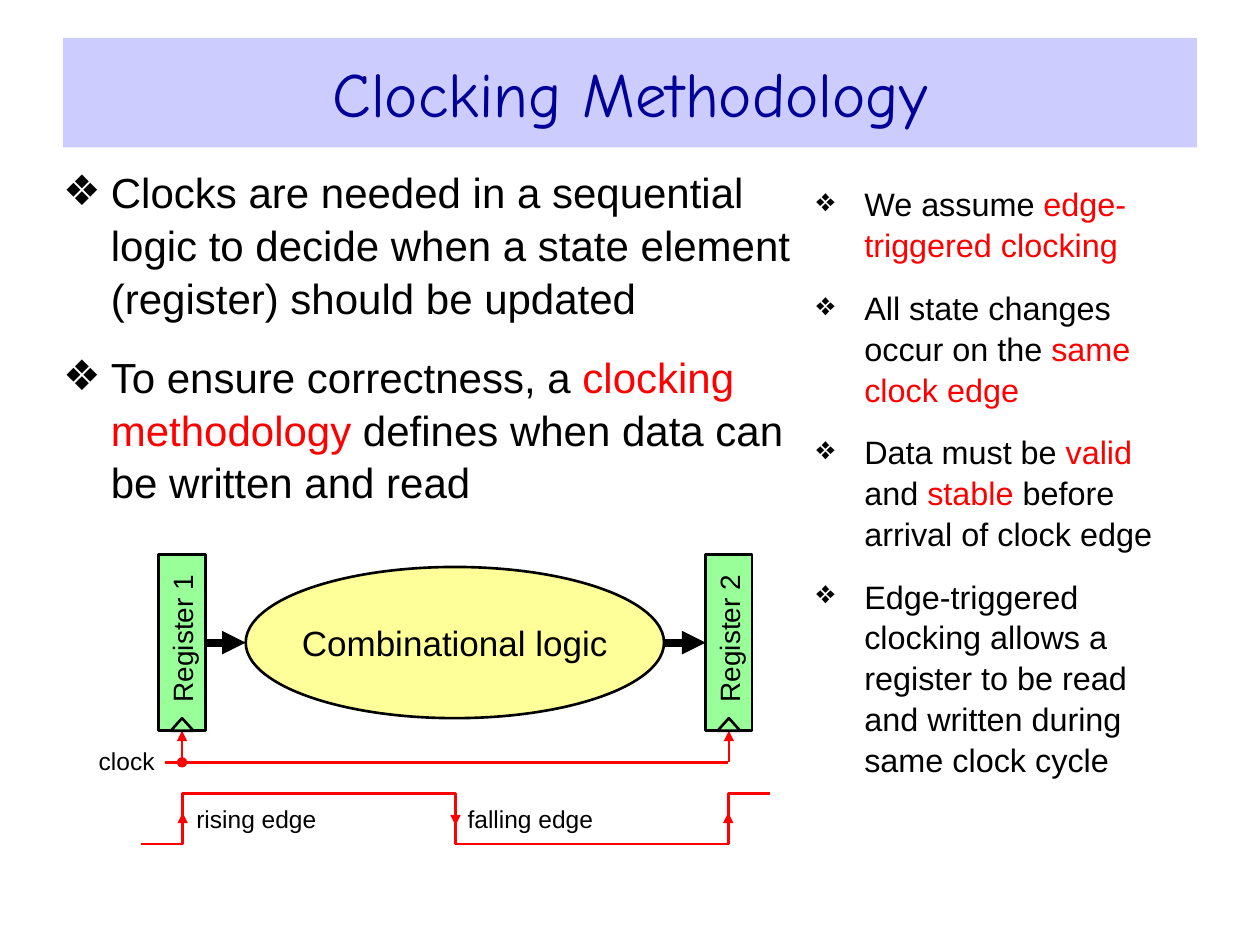
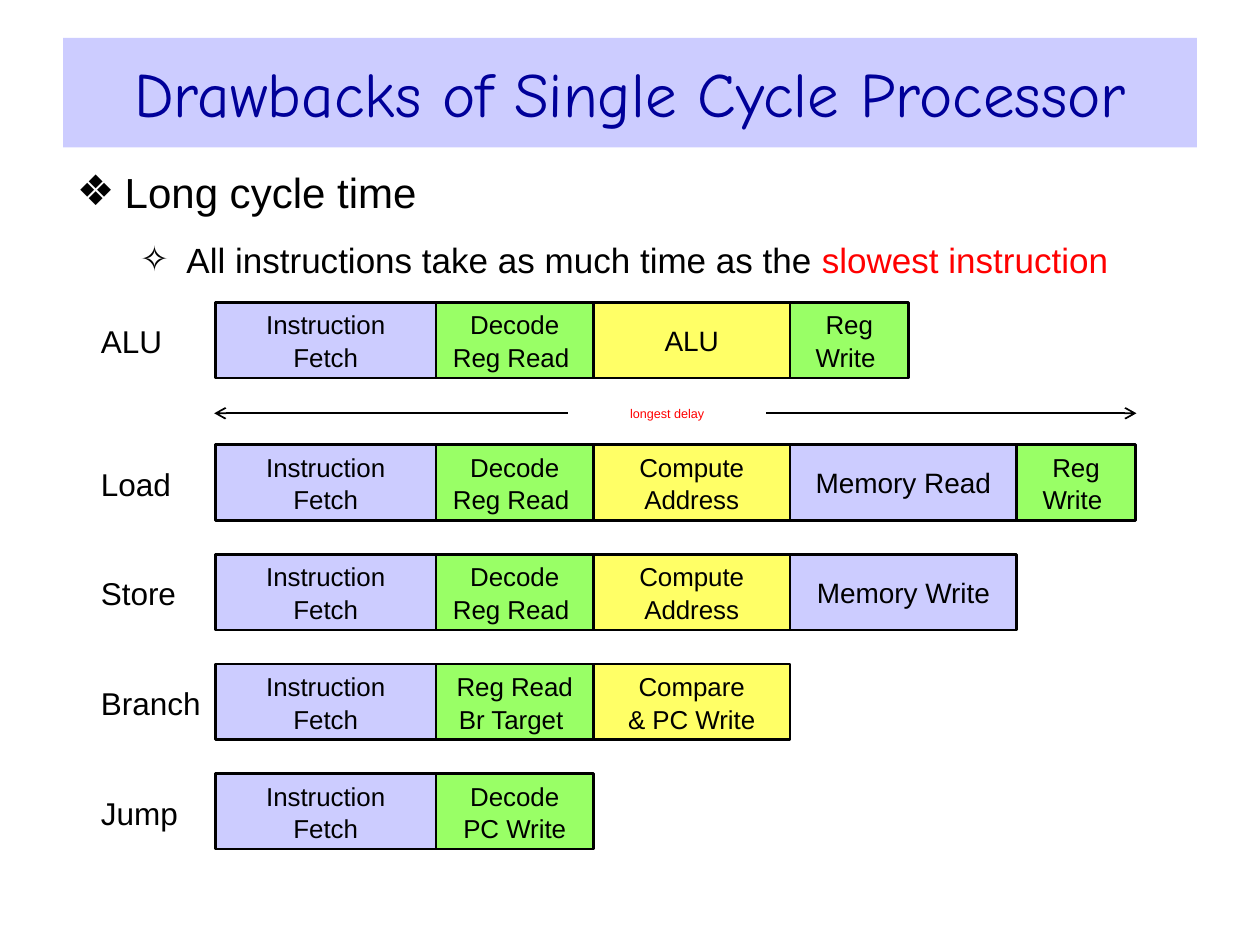
from dataclasses import dataclass

from lxml.etree import SubElement
from pptx import Presentation
from pptx.dml.color import RGBColor
from pptx.enum.shapes import MSO_CONNECTOR, MSO_SHAPE
from pptx.enum.text import MSO_ANCHOR, MSO_AUTO_SIZE, PP_ALIGN
from pptx.oxml.ns import qn
from pptx.util import Inches, Pt


@dataclass(frozen=True)
class Theme:
    """Colours, fonts and type sizes shared by the slides."""
    ink: str = "000000"
    accent: str = "FF0000"
    title_ink: str = "000099"
    paper: str = "FFFFFF"
    lavender: str = "CCCCFF"
    green: str = "99FF66"
    yellow: str = "FFFF66"
    register: str = "99FF99"
    logic: str = "FFFF99"
    title_font: str = "Comic Neue"
    text_font: str = "Arial"
    title_size: float = 36
    body_size: float = 24
    sub_size: float = 20
    side_size: float = 18.5
    row_size: float = 18
    single_size: float = 16
    double_size: float = 14.8
    signal_size: float = 14
    delay_size: float = 7.2
    outline: float = 1.5


THEME = Theme()

CLOCK_POINTS = [
    [("Clocks are needed in a sequential logic to decide when a state element "
      "(register) should be updated", False)],
    [("To ensure correctness, a ", False), ("clocking methodology", True),
     (" defines when data can be written and read", False)],
]
EDGE_POINTS = [
    [("We assume ", False), ("edge-triggered clocking", True)],
    [("All state changes occur on the ", False), ("same clock edge", True)],
    [("Data must be ", False), ("valid", True), (" and ", False), ("stable", True),
     (" before arrival of clock edge", False)],
    [("Edge-triggered clocking allows a register to be read and written during "
      "same clock cycle", False)],
]
CYCLE_POINT = [("Long cycle time", False)]
CYCLE_DETAIL = [("All instructions take as much time as the ", False),
                ("slowest instruction", True)]

STAGES = {
    "fetch": (0, 1.75, THEME.lavender),
    "decode": (1.75, 1.25, THEME.green),
    "execute": (3, 1.56, THEME.yellow),
    "memory": (4.56, 1.8, THEME.lavender),
    "early write": (4.56, 0.94, THEME.green),
    "late write": (6.36, 0.94, THEME.green),
}
FETCH = ("fetch", ["Instruction", "Fetch"])
DECODE = ("decode", ["Decode", "Reg Read "])
ADDRESS = ("execute", ["Compute", "Address"])
WRITE_BACK = ["Reg", "Write "]
ALU_ROW = ("ALU", [FETCH, DECODE, ("execute", ["ALU"]), ("early write", WRITE_BACK)])
OTHER_ROWS = [
    ("Load", [FETCH, DECODE, ADDRESS, ("memory", ["Memory Read"]),
              ("late write", WRITE_BACK)]),
    ("Store", [FETCH, DECODE, ADDRESS, ("memory", ["Memory Write"])]),
    ("Branch", [FETCH, ("decode", ["Reg Read", "Br Target "]),
                ("execute", ["Compare", "& PC Write"])]),
    ("Jump", [FETCH, ("decode", ["Decode", "PC Write"])]),
]


def rgb(colour):
    """Turn a hex string into a colour."""
    return RGBColor.from_string(colour)


def place(shape, left, top, width, height):
    """Move a shape to a box given in inches."""
    shape.left, shape.top = Inches(left), Inches(top)
    shape.width, shape.height = Inches(width), Inches(height)


def add_run(paragraph, text, size, colour=THEME.ink, font=THEME.text_font):
    """Append one formatted run."""
    run = paragraph.add_run()
    run.text = text
    run.font.size, run.font.name = Pt(size), font
    run.font.color.rgb = rgb(colour)


def set_frame(frame, side, vertical, anchor, wrap):
    """Set insets, anchor and wrapping of a text frame."""
    frame.margin_left = frame.margin_right = Inches(side)
    frame.margin_top = frame.margin_bottom = Inches(vertical)
    frame.vertical_anchor, frame.word_wrap = anchor, wrap
    frame.auto_size = MSO_AUTO_SIZE.NONE


def next_paragraph(frame):
    """Return the empty first paragraph, or a new one."""
    first = frame.paragraphs[0]
    return frame.add_paragraph() if first.runs else first


def add_bullet(frame, spans, size, before, spacing=1.05, symbol="❖", margin=0.38,
               hang=0.38, level=0):
    """Add one bulleted paragraph with highlighted spans."""
    paragraph = next_paragraph(frame)
    properties = paragraph._p.get_or_add_pPr()
    properties.set("marL", str(Inches(margin)))
    properties.set("indent", str(-Inches(hang)))
    bullet_colour = SubElement(properties, qn("a:buClr"))
    SubElement(bullet_colour, qn("a:srgbClr")).set("val", THEME.ink)
    SubElement(properties, qn("a:buChar")).set("char", symbol)
    paragraph.level = level
    paragraph.line_spacing = spacing
    paragraph.space_before = Pt(before if len(frame.paragraphs) > 1 else 0)
    for text, highlighted in spans:
        add_run(paragraph, text, size, THEME.accent if highlighted else THEME.ink)


def write_lines(shape, lines, size, colour=THEME.ink, align=PP_ALIGN.CENTER):
    """Write unwrapped lines in the middle of a shape."""
    set_frame(shape.text_frame, 0, 0, MSO_ANCHOR.MIDDLE, False)
    for line in lines:
        paragraph = next_paragraph(shape.text_frame)
        paragraph.alignment = align
        paragraph.line_spacing = 1.05 if len(lines) > 1 else 1
        add_run(paragraph, line, size, colour)


def add_block(shapes, kind, box, fill, outlined=True):
    """Add a filled preset shape in a box given in inches."""
    block = shapes.add_shape(kind, *map(Inches, box))
    block.shadow.inherit = False
    block.fill.solid()
    block.fill.fore_color.rgb = rgb(fill)
    if outlined:
        block.line.color.rgb, block.line.width = rgb(THEME.ink), Pt(THEME.outline)
    else:
        block.line.fill.background()
    return block


def add_label(shapes, box, text, size, align=PP_ALIGN.CENTER):
    """Add a one-line text box."""
    label = shapes.add_textbox(*map(Inches, box))
    write_lines(label, [text], size, align=align)


def add_wire(shapes, start, end, colour, width, head=None, tail=None):
    """Add a straight connector with optional ends."""
    wire = shapes.add_connector(MSO_CONNECTOR.STRAIGHT, *map(Inches, start + end))
    wire.line.color.rgb, wire.line.width = rgb(colour), Pt(width)
    line = wire.line._get_or_add_ln()
    for tag, style in (("a:headEnd", head), ("a:tailEnd", tail)):
        if style:
            SubElement(line, qn(tag)).set("type", style)
    SubElement(wire._element.spPr, qn("a:effectLst"))
    return wire


def add_titled_slide(deck, heading, box):
    """Add a slide with the title band; return it with its body frame."""
    slide = deck.slides.add_slide(deck.slide_layouts[1])
    title, body = slide.shapes.title, slide.placeholders[1]
    place(title, 0.5, 0.3, 9, 0.87)
    title.fill.solid()
    title.fill.fore_color.rgb = rgb(THEME.lavender)
    set_frame(title.text_frame, 0.1, 0.05, MSO_ANCHOR.MIDDLE, True)
    paragraph = title.text_frame.paragraphs[0]
    paragraph.alignment = PP_ALIGN.CENTER
    add_run(paragraph, heading, THEME.title_size, THEME.title_ink, THEME.title_font)
    place(body, *box)
    return slide, body.text_frame


def add_register(shapes, name, left, top, clock_y, dot):
    """Add a register with its clock input; return its rectangle."""
    register = add_block(shapes, MSO_SHAPE.RECTANGLE, (left, top, 0.37, 1.4),
                         THEME.register)
    write_lines(register, [name], THEME.single_size)
    register.text_frame._txBody.bodyPr.set("vert", "vert270")
    middle = left + 0.185
    tap = add_wire(shapes, (middle, clock_y), (middle, top + 1.4), THEME.accent,
                   THEME.outline, dot, "triangle")
    tap.end_connect(register, 2)
    add_block(shapes, MSO_SHAPE.ISOSCELES_TRIANGLE,
              (middle - 0.09, top + 1.3, 0.18, 0.1), THEME.register)
    return register


def draw_datapath(slide, left, top):
    """Draw the two registers, the logic between them and the clock wire."""
    shapes = slide.shapes.add_group_shape().shapes
    clock_y, middle = top + 1.65, top + 0.7
    logic = add_block(shapes, MSO_SHAPE.OVAL, (left + 1.24, top + 0.1, 3.32, 1.2),
                      THEME.logic)
    write_lines(logic, ["Combinational logic"], THEME.sub_size)
    source = add_register(shapes, " Register 1", left + 0.55, top, clock_y, "oval")
    target = add_register(shapes, " Register 2", left + 4.89, top, clock_y, None)
    into = add_wire(shapes, (left + 0.92, middle), (left + 1.24, middle), THEME.ink,
                    4.5, tail="triangle")
    into.begin_connect(source, 3)
    out = add_wire(shapes, (left + 4.56, middle), (left + 4.89, middle), THEME.ink,
                   4.5, tail="triangle")
    out.end_connect(target, 1)
    add_wire(shapes, (left + 5.07, clock_y), (left + 0.6, clock_y), THEME.accent,
             THEME.outline)
    add_label(shapes, (left, top + 1.47, 0.59, 0.33), "clock", THEME.signal_size)


def draw_waveform(slide, left, top):
    """Draw the clock signal with its marked edges."""
    shapes = slide.shapes.add_group_shape().shapes
    high, low, middle = top, top + 0.4, top + 0.2
    edges = [left + 0.33 + 2.165 * index for index in range(3)]
    levels = [low, high, low, high]
    corners = [(left, low)]
    for edge, before, after in zip(edges, levels, levels[1:]):
        corners += [(edge, before), (edge, after)]
    corners.append((edges[-1] + 0.33, high))
    points = [(Inches(x), Inches(y)) for x, y in corners]
    builder = shapes.build_freeform(*points[0])
    builder.add_line_segments(points[1:], close=False)
    signal = builder.convert_to_shape()
    signal.shadow.inherit = False
    signal.fill.background()
    signal.line.color.rgb, signal.line.width = rgb(THEME.accent), Pt(THEME.outline)
    for edge, rise in zip(edges, (0.05, -0.05, 0.05)):
        add_wire(shapes, (edge, middle + rise), (edge, middle - rise), THEME.accent, 1,
                 tail="triangle")
    add_label(shapes, (left + 0.43, top + 0.05, 0.97, 0.3), "rising edge",
              THEME.signal_size)
    add_label(shapes, (left + 2.54, top + 0.05, 1.1, 0.3), "falling edge",
              THEME.signal_size)


def draw_instruction(slide, left, top, name, stages):
    """Draw one instruction's name and its row of stages."""
    shapes = slide.shapes.add_group_shape().shapes
    add_label(shapes, (left, top + 0.11, 0.91, 0.4), name, THEME.row_size,
              PP_ALIGN.LEFT)
    for stage, lines in stages:
        offset, width, fill = STAGES[stage]
        block = add_block(shapes, MSO_SHAPE.RECTANGLE,
                          (left + 0.91 + offset, top, width, 0.6), fill)
        write_lines(block, lines,
                    THEME.double_size if len(lines) > 1 else THEME.single_size)


def draw_delay(slide, left, top, width):
    """Draw the double arrow that spans the longest instruction."""
    shapes = slide.shapes.add_group_shape().shapes
    add_wire(shapes, (left, top + 0.12), (left + width, top + 0.12), THEME.ink, 1,
             "arrow", "arrow")
    caption = add_block(shapes, MSO_SHAPE.RECTANGLE, (left + 2.81, top, 1.57, 0.24),
                        THEME.paper, outlined=False)
    write_lines(caption, ["longest delay"], THEME.delay_size, THEME.accent)


def build_clocking(deck):
    """Build the slide on clocking methodology."""
    slide, body = add_titled_slide(deck, "Clocking Methodology", (0.5, 1.25, 5.8, 2.89))
    side = slide.shapes.add_textbox(*map(Inches, (6.48, 1.4, 2.68, 5))).text_frame
    for frame, points, size, before in (
            (body, CLOCK_POINTS, THEME.body_size, 15),
            (side, EDGE_POINTS, THEME.side_size, 12.5)):
        set_frame(frame, 0, 0.05, MSO_ANCHOR.TOP, True)
        for spans in points:
            add_bullet(frame, spans, size, before)
    draw_datapath(slide, 0.71, 4.4)
    draw_waveform(slide, 1.12, 6.3)


def build_drawbacks(deck):
    """Build the slide on single cycle drawbacks."""
    slide, body = add_titled_slide(deck, "Drawbacks of Single Cycle Processor",
                                   (0.51, 1.23, 9, 1.02))
    set_frame(body, 0.1, 0.05, MSO_ANCHOR.TOP, True)
    add_bullet(body, CYCLE_POINT, THEME.body_size, 12, 1.1)
    add_bullet(body, CYCLE_DETAIL, THEME.sub_size, 10, 1.1, "✧", 0.87, 0.37, 1)
    draw_delay(slide, 1.7, 3.16, 7.32)
    draw_instruction(slide, 0.8, 2.4, *ALU_ROW)
    for index, row in enumerate(OTHER_ROWS):
        draw_instruction(slide, 0.8, 3.53 + 0.87 * index, *row)


def main():
    """Build and save the deck."""
    deck = Presentation()
    deck.slide_width, deck.slide_height = Inches(10), Inches(7.5)
    build_clocking(deck)
    build_drawbacks(deck)
    deck.save("out.pptx")


if __name__ == "__main__":
    main()
